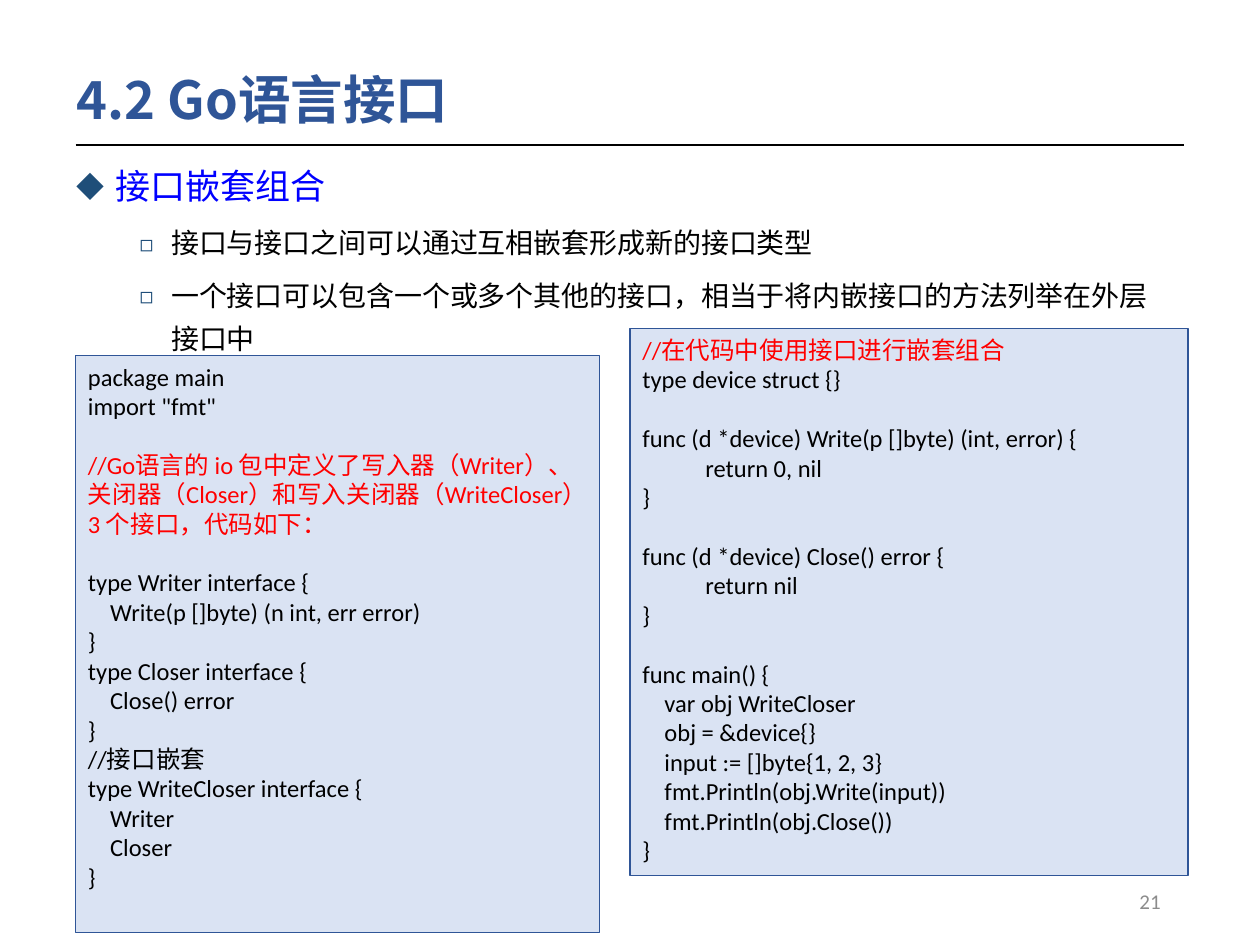
from dataclasses import dataclass

from lxml import etree
from pptx import Presentation
from pptx.dml.color import RGBColor
from pptx.enum.shapes import MSO_CONNECTOR, MSO_SHAPE
from pptx.enum.text import MSO_ANCHOR, PP_ALIGN
from pptx.oxml.ns import qn
from pptx.util import Inches, Pt

RECT = MSO_SHAPE.RECTANGLE
STRAIGHT = MSO_CONNECTOR.STRAIGHT
TOP, MIDDLE = MSO_ANCHOR.TOP, MSO_ANCHOR.MIDDLE
LEFT, RIGHT = PP_ALIGN.LEFT, PP_ALIGN.RIGHT

BLUE = RGBColor(0x2F, 0x55, 0x97)
PALE = RGBColor(0xDA, 0xE3, 0xF3)
NAVY = RGBColor(0x1F, 0x4E, 0x79)
LINK = RGBColor(0x00, 0x00, 0xFF)
RED = RGBColor(0xFF, 0x00, 0x00)
GRAY = RGBColor(0x8C, 0x8C, 0x8C)
BLACK = RGBColor(0x00, 0x00, 0x00)

SANS = "Noto Sans CJK SC"
LATIN = "Calibri"


@dataclass
class Box:
    x: float
    y: float
    w: float
    h: float

    def lengths(self):
        return [Inches(v) for v in (self.x, self.y, self.w, self.h)]


@dataclass
class Point:
    text: str
    mark: str
    size: int
    color: RGBColor
    margin: float
    hang: float
    level: int = 0
    before: int = 0


@dataclass
class Code:
    box: Box
    text: str
    note: str  # start of the line shown in red


POINTS = [
    Point("接口嵌套组合", "◆", 20, LINK, 0.31, 0.31),
    Point("接口与接口之间可以通过互相嵌套形成新的接口类型",
          "◻", 16, BLACK, 0.75, 0.25, 1, 5),
    Point("一个接口可以包含一个或多个其他的接口，相当于将内嵌接口的方法列举在外层接口中",
          "◻", 16, BLACK, 0.75, 0.25, 1, 5),
]

CODES = [
    Code(Box(0.6, 2.82, 4.16, 4.58), '''package main
import "fmt"

//Go语言的 io 包中定义了写入器（Writer）、关闭器（Closer）和写入关闭器（WriteCloser）3 个接口，代码如下：

type Writer interface {
    Write(p []byte) (n int, err error)
}
type Closer interface {
    Close() error
}
//接口嵌套
type WriteCloser interface {
    Writer
    Closer
}''', "//Go"),
    Code(Box(5, 2.61, 4.43, 4.34), '''//在代码中使用接口进行嵌套组合
type device struct {}

func (d *device) Write(p []byte) (int, error) {
\treturn 0, nil
}

func (d *device) Close() error {
\treturn nil
}

func main() {
    var obj WriteCloser
    obj = &device{}
    input := []byte{1, 2, 3}
    fmt.Println(obj.Write(input))
    fmt.Println(obj.Close())
}''', "//在"),
]


def write(para, text: str, *, size: int, color: RGBColor, font: str = LATIN,
          bold: bool = False, align=LEFT, spacing: float = 1.0, before: int = 0):
    para.alignment = align
    para.line_spacing = spacing
    para.space_before = Pt(before)
    if not text:
        para._p.get_or_add_endParaRPr().set("sz", str(size * 100))
        return
    run = para.add_run()
    run.text = text
    run.font.size = Pt(size)
    run.font.bold = bold
    run.font.name = font
    run.font.color.rgb = color
    etree.SubElement(run._r.rPr, qn("a:ea"), typeface=font)


def add_mark(para, point: Point):
    """Give the paragraph a coloured bullet with a hanging indent."""
    props = para._p.get_or_add_pPr()
    props.set("marL", str(Inches(point.margin)))
    props.set("indent", str(-Inches(point.hang)))
    tint = etree.SubElement(props, qn("a:buClr"))
    etree.SubElement(tint, qn("a:srgbClr"), val=str(NAVY))
    etree.SubElement(props, qn("a:buSzPct"), val="80000")
    etree.SubElement(props, qn("a:buFont"), typeface=SANS)
    etree.SubElement(props, qn("a:buChar"), char=point.mark)


def add_tab(para, pos: float):
    stops = etree.SubElement(para._p.get_or_add_pPr(), qn("a:tabLst"))
    etree.SubElement(stops, qn("a:tab"), pos=str(Inches(pos)), algn="l")


def next_para(frame, index: int):
    return frame.add_paragraph() if index else frame.paragraphs[0]


def add_box(slide, box: Box, anchor=TOP):
    frame = slide.shapes.add_textbox(*box.lengths()).text_frame
    frame.word_wrap = True
    frame.vertical_anchor = anchor
    return frame


def add_rule(slide):
    y = Inches(1.15)
    rule = slide.shapes.add_connector(STRAIGHT, Inches(0.6), y, Inches(9.4), y)
    rule.line.color.rgb = BLACK
    rule.line.width = Pt(1.5)
    etree.SubElement(rule._element.spPr, qn("a:effectLst"))


def add_points(slide, box: Box, points: list[Point]):
    frame = add_box(slide, box)
    for i, point in enumerate(points):
        para = next_para(frame, i)
        para.level = point.level
        write(para, point.text, size=point.size, color=point.color, font=SANS,
              spacing=1.3, before=point.before)
        add_mark(para, point)


def add_code(slide, code: Code):
    shape = slide.shapes.add_shape(RECT, *code.box.lengths())
    shape.shadow.inherit = False
    shape.fill.solid()
    shape.fill.fore_color.rgb = PALE
    shape.line.color.rgb = BLUE
    shape.line.width = Pt(0.75)
    frame = shape.text_frame
    frame.word_wrap = True
    frame.vertical_anchor = TOP
    for i, line in enumerate(code.text.split("\n")):
        para = next_para(frame, i)
        color = RED if line.startswith(code.note) else BLACK
        write(para, line, size=14, color=color)
        if line.startswith("\t"):
            add_tab(para, 0.5)


def main():
    deck = Presentation()
    deck.slide_width, deck.slide_height = Inches(10), Inches(7.5)
    slide = deck.slides.add_slide(deck.slide_layouts[6])
    title = add_box(slide, Box(0.51, 0.48, 8.62, 0.67), MIDDLE)
    write(title.paragraphs[0], "4.2 Go语言接口", size=30, color=BLUE, font=SANS,
          bold=True, spacing=0.9)
    number = add_box(slide, Box(7.06, 6.95, 2.25, 0.4), MIDDLE)
    write(number.paragraphs[0], "21", size=12, color=GRAY, align=RIGHT)
    add_rule(slide)
    add_points(slide, Box(0.51, 1.16, 8.89, 5.74), POINTS)
    for code in CODES:
        add_code(slide, code)
    deck.save("out.pptx")


if __name__ == "__main__":
    main()
